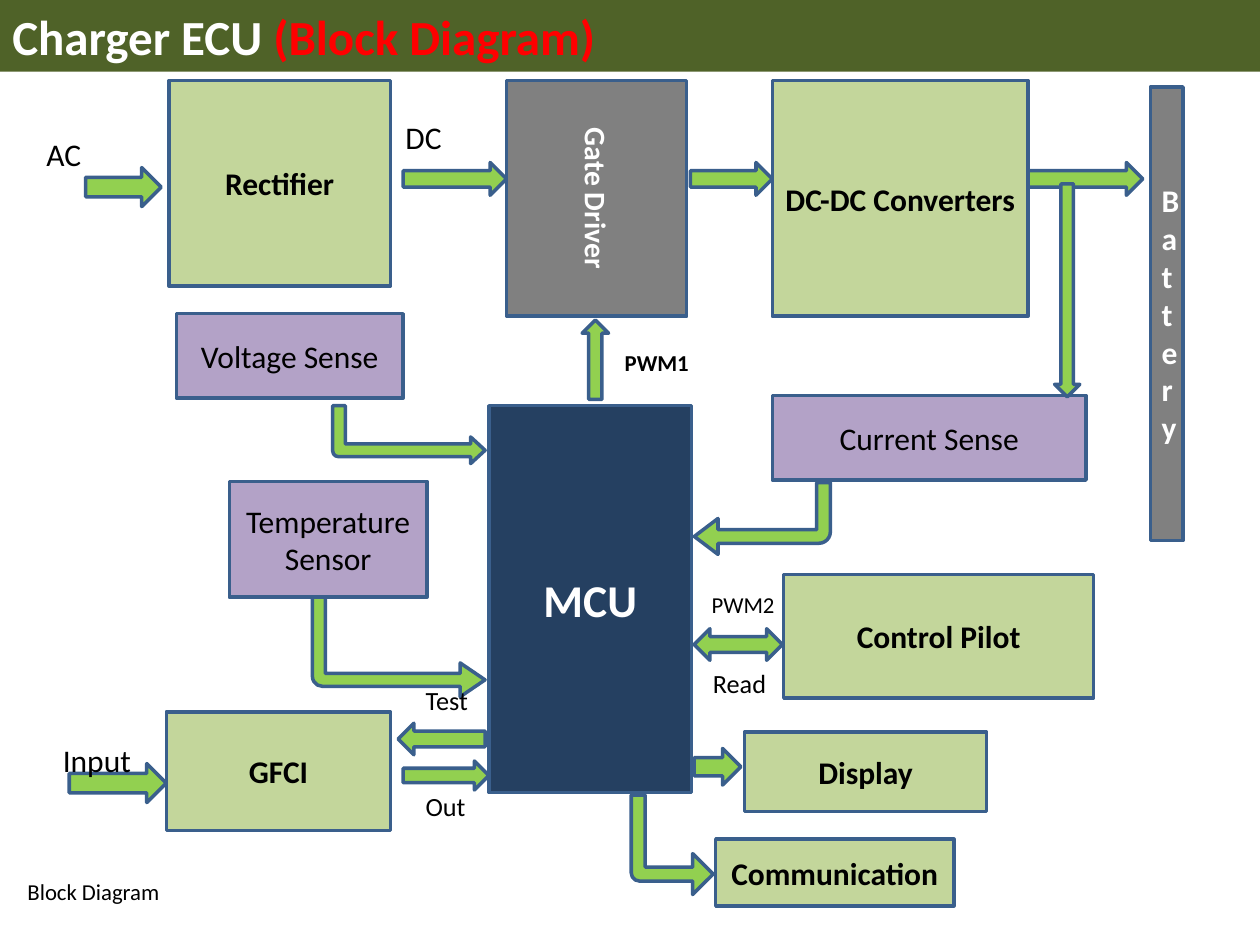
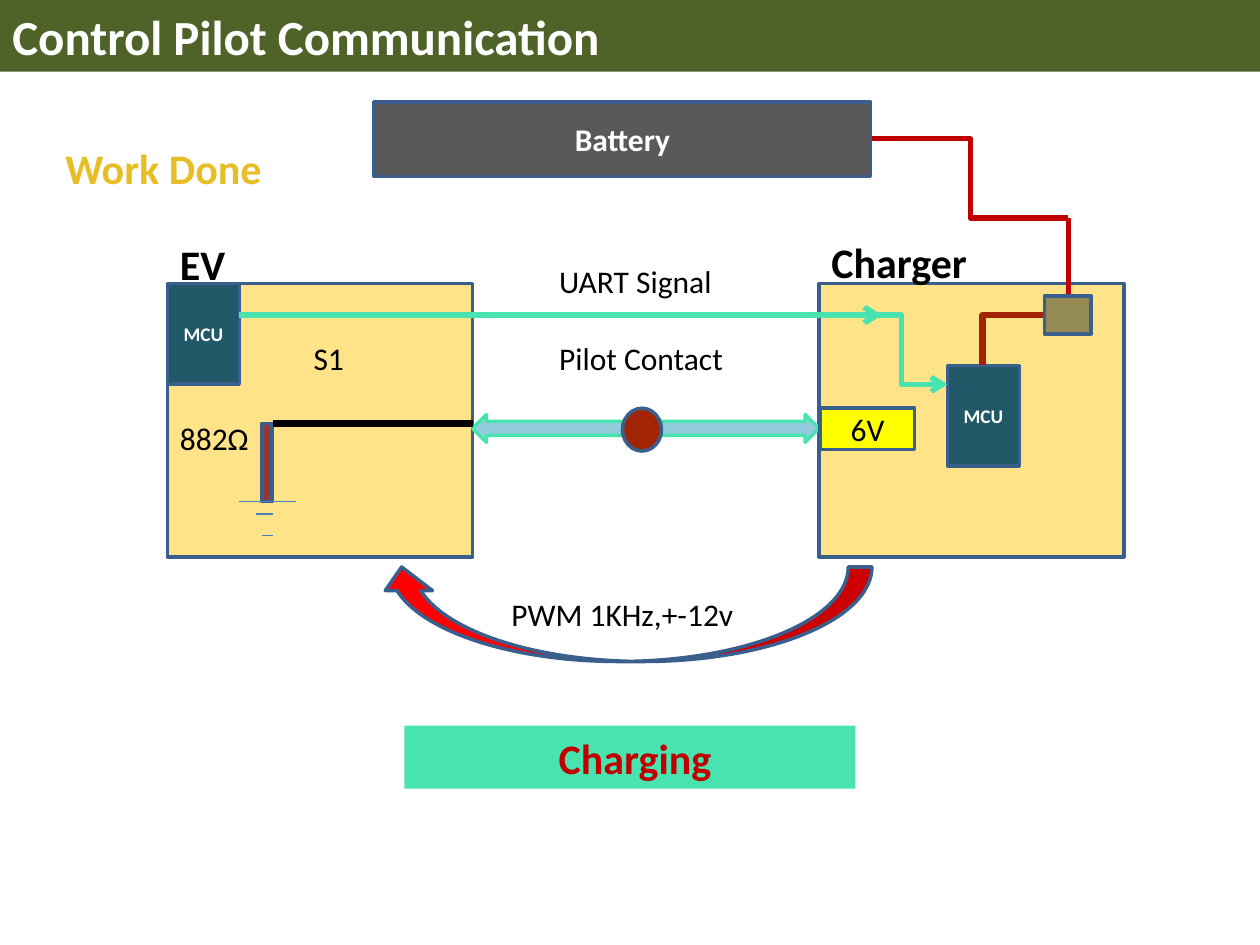
"""Build two slides on a charger ECU: its block diagram and its pilot communication."""
import pptx
import pptx.dml.color
import pptx.enum.shapes
import pptx.enum.text
import pptx.oxml
import pptx.oxml.ns
import pptx.util

Inches = pptx.util.Inches
SHAPE = pptx.enum.shapes.MSO_SHAPE
CONNECTOR = pptx.enum.shapes.MSO_CONNECTOR
ALIGN = pptx.enum.text.PP_ALIGN
ANCHOR = pptx.enum.text.MSO_ANCHOR

FONT = "Calibri"
COLORS = {
    "white": "FFFFFF", "black": "000000", "band": "4F6228", "outline": "3A5F8C",
    "stage": "C3D69B", "sensor": "B3A2C7", "gray": "808080", "navy": "254061",
    "arrow": "92D050", "red": "FF0000", "gold": "E8BE26", "panel": "FFE389",
    "sky": "93CDDD", "mint": "49E3B0", "rust": "A12407", "crimson": "C00000",
    "resistor": "953735", "ground": "4B7EBC", "chip": "215968", "relay": "948A54",
    "charcoal": "595959", "yellow": "FFFF00",
}


def color(name):
    """Return the named colour."""
    return pptx.dml.color.RGBColor.from_string(COLORS[name])


def write(frame, text, size, tint="black", bold=False, align=ALIGN.LEFT,
          anchor=ANCHOR.TOP, margin=0.1):
    """Put one formatted paragraph in a text frame and return it."""
    frame.word_wrap = True
    frame.vertical_anchor = anchor
    frame.margin_left = frame.margin_right = Inches(margin)
    para = frame.paragraphs[0]
    para.text = text
    para.alignment = align
    para.font.name = FONT
    para.font.size = pptx.util.Pt(size)
    para.font.bold = bold
    para.font.color.rgb = color(tint)
    return para


def add_figure(page, kind, at, fill, outline="outline", adjust=(), flip=None, turn=0):
    """Add a filled preset shape, flipped or turned if asked."""
    figure = page.shapes.add_shape(kind, *map(Inches, at))
    figure.shadow.inherit = False
    figure.fill.solid()
    figure.fill.fore_color.rgb = color(fill)
    if outline:
        figure.line.color.rgb = color(outline)
        figure.line.width = pptx.util.Pt(2)
    else:
        figure.line.fill.background()
    for index, value in enumerate(adjust):
        figure.adjustments[index] = value
    figure.rotation = turn
    if flip:
        figure._element.spPr.xfrm.set(flip, "1")
    return figure


def add_box(page, text, at, fill, size=18, tint="black", bold=True, outline="outline", turn=0):
    """Add a rectangle with centred text."""
    box = add_figure(page, SHAPE.RECTANGLE, at, fill, outline, turn=turn)
    write(box.text_frame, text, size, tint, bold, ALIGN.CENTER, ANCHOR.MIDDLE, 0.09)
    return box


def add_label(page, text, at, size=18, tint="black", bold=False):
    """Add a plain text label."""
    label = page.shapes.add_textbox(*map(Inches, at))
    write(label.text_frame, text, size, tint, bold)


def add_wire(page, start, end, tint, width, kind=CONNECTOR.STRAIGHT, preset=None, head=False):
    """Add a straight or bent line, with an open arrowhead at its end if asked."""
    wire = page.shapes.add_connector(kind, *map(Inches, (*start, *end)))
    wire.line.color.rgb = color(tint)
    wire.line.width = pptx.util.Pt(width)
    properties = wire._element.spPr
    if preset:
        properties.find(pptx.oxml.ns.qn("a:prstGeom")).set("prst", preset)
    if head:
        tip = pptx.oxml.parse_xml(f'<a:tailEnd {pptx.oxml.ns.nsdecls("a")} type="arrow"/>')
        wire.line._get_or_add_ln().append(tip)
    properties.append(pptx.oxml.parse_xml(f'<a:effectLst {pptx.oxml.ns.nsdecls("a")}/>'))


def add_title(page, title, accent=""):
    """Add the title band, with an optional red ending."""
    band = add_figure(page, SHAPE.RECTANGLE, (0, 0, 10, 0.57), "band", None)
    para = write(band.text_frame, title, 28, "white", True)
    if accent:
        span = para.add_run()
        span.text = accent
        span.font.color.rgb = color("red")


def add_page(deck):
    """Add a blank slide."""
    return deck.slides.add_slide(deck.slide_layouts[6])


def build_block_diagram(deck):
    """Build the charger block diagram."""
    page = add_page(deck)
    stages = (
        ("DC-DC Converters", (6.13, 0.64, 2.03, 1.87)),
        ("Rectifier", (1.34, 0.64, 1.76, 1.63)),
        ("Display", (5.91, 5.81, 1.92, 0.63)),
        ("Control Pilot", (6.22, 4.56, 2.46, 0.98)),
        ("GFCI", (1.32, 5.65, 1.78, 0.94)),
        ("Communication", (5.68, 6.66, 1.89, 0.53)),
    )
    for text, at in stages:
        add_box(page, text, at, "stage")
    sensors = (
        ("Voltage Sense", (1.4, 2.49, 1.8, 0.67)),
        ("Current Sense", (6.13, 3.14, 2.49, 0.67)),
        ("Temperature Sensor", (1.82, 3.82, 1.57, 0.92)),
    )
    for text, at in sensors:
        add_box(page, text, at, "sensor", bold=False)
    add_box(page, "Battery", (9.13, 0.69, 0.26, 3.6), "gray", tint="white")
    add_box(page, "Gate Driver", (3.8, 0.86, 1.87, 1.43), "gray", 17, "white", turn=90)
    add_box(page, "MCU", (3.88, 3.22, 1.61, 3.07), "navy", 26, "white")

    arrows = (
        (SHAPE.RIGHT_ARROW, (0.68, 1.33, 0.6, 0.31)),
        (SHAPE.RIGHT_ARROW, (3.2, 1.29, 0.82, 0.26)),
        (SHAPE.RIGHT_ARROW, (5.48, 1.29, 0.65, 0.26)),
        (SHAPE.RIGHT_ARROW, (8.16, 1.29, 0.91, 0.26)),
        (SHAPE.DOWN_ARROW, (8.37, 1.46, 0.2, 1.69)),
        (SHAPE.UP_ARROW, (4.62, 2.54, 0.21, 0.63)),
        (SHAPE.LEFT_RIGHT_ARROW, (5.51, 4.99, 0.7, 0.25)),
        (SHAPE.RIGHT_ARROW, (5.51, 5.94, 0.37, 0.29)),
        (SHAPE.LEFT_ARROW, (3.16, 5.74, 0.69, 0.25)),
        (SHAPE.RIGHT_ARROW, (3.2, 6.04, 0.68, 0.23)),
        (SHAPE.RIGHT_ARROW, (0.55, 6.06, 0.77, 0.31)),
    )
    for kind, at in arrows:
        add_figure(page, kind, at, "arrow")
    bends = (
        ((2.64, 3.22, 1.21, 0.46), (0.22, 0.23, 0.25, 0.1)),
        ((2.48, 4.74, 1.37, 0.79), (0.13, 0.17, 0.25, 0.1)),
        ((5.01, 6.31, 0.65, 0.79), (0.17, 0.25, 0.25, 0.1)),
    )
    for at, adjust in bends:
        add_figure(page, SHAPE.BENT_ARROW, at, "arrow", adjust=adjust, flip="flipV")
    add_figure(page, SHAPE.BENT_ARROW, (5.51, 3.83, 1.08, 0.57), "arrow",
               adjust=(0.19, 0.25, 0.33, 0.16), turn=180)

    labels = (
        ("AC", (0.27, 1.02, 0.73, 0.4), 18),
        ("DC", (3.12, 0.89, 0.73, 0.4), 18),
        ("Input", (0.4, 5.83, 0.78, 0.4), 18),
        ("Read", (5.56, 5.25, 0.66, 0.35), 15),
        ("Test", (3.28, 5.38, 0.57, 0.35), 15),
        ("Out", (3.28, 6.22, 0.56, 0.35), 15),
        ("PWM2", (5.55, 4.64, 0.74, 0.31), 13),
        ("Block Diagram", (0.12, 6.92, 1.3, 0.31), 13),
    )
    for text, at, size in labels:
        add_label(page, text, at, size)
    add_label(page, "PWM1", (4.86, 2.72, 0.75, 0.31), 13, bold=True)
    add_title(page, "Charger ECU ", "(Block Diagram)")


def build_pilot_communication(deck):
    """Build the vehicle-to-charger communication diagram."""
    page = add_page(deck)
    add_title(page, "Control Pilot Communication")
    for left in (1.33, 6.5):
        add_figure(page, SHAPE.RECTANGLE, (left, 2.25, 2.42, 2.17), "panel")
    add_figure(page, SHAPE.LEFT_RIGHT_ARROW, (3.75, 3.29, 2.75, 0.22), "sky", "mint")
    add_figure(page, SHAPE.OVAL, (4.94, 3.24, 0.31, 0.34), "rust")
    add_figure(page, SHAPE.RECTANGLE, (2.08, 3.36, 0.08, 0.62), "resistor")
    add_wire(page, (2.17, 3.36), (3.75, 3.36), "black", 4.25)
    for left, right, top in ((1.9, 2.35, 3.98), (2.03, 2.17, 4.08), (2.08, 2.17, 4.25)):
        add_wire(page, (left, top), (right, top), "ground", 0.75)
    for left, top in ((1.33, 2.25), (7.52, 2.9)):
        add_box(page, "MCU", (left, top, 0.57, 0.8), "chip", 11, "white")
    add_figure(page, SHAPE.CURVED_UP_ARROW, (3, 4.5, 3.92, 0.75), "red", flip="flipH")

    add_wire(page, (8.29, 2.5), (7.8, 2.9), "rust", 3.75, CONNECTOR.ELBOW, "bentConnector2")
    add_figure(page, SHAPE.RECTANGLE, (8.29, 2.35, 0.37, 0.3), "relay")
    add_box(page, "Battery", (2.97, 0.81, 3.94, 0.59), "charcoal", tint="white")
    add_wire(page, (6.92, 1.1), (8.48, 1.73), "crimson", 3, CONNECTOR.ELBOW)
    add_wire(page, (8.48, 1.73), (8.48, 2.33), "crimson", 3)
    add_wire(page, (1.9, 2.5), (7, 2.5), "mint", 3.25, head=True)
    add_wire(page, (6.79, 2.5), (7.52, 3.05), "mint", 3, CONNECTOR.ELBOW, head=True)
    add_box(page, "6V", (6.51, 3.24, 0.75, 0.33), "yellow", bold=False)
    charging = add_box(page, "Charging", (3.21, 5.76, 3.58, 0.5), "mint", 24, "crimson",
                       outline=None)
    charging.text_frame.margin_left = Inches(0.17)

    add_label(page, "Work Done", (0.42, 1.08, 2.83, 0.5), 24, "gold", True)
    add_label(page, "EV", (1.33, 1.84, 0.62, 0.5), 24, bold=True)
    add_label(page, "Charger", (6.5, 1.83, 1.58, 0.5), 24, bold=True)
    labels = (
        ("UART Signal", (4.34, 2.03, 2.23, 0.4)),
        ("Pilot Contact", (4.34, 2.64, 1.56, 0.4)),
        ("S1", (2.39, 2.64, 0.5, 0.4)),
        ("882Ω", (1.33, 3.28, 0.8, 0.4)),
        ("PWM 1KHz,+-12v", (3.96, 4.67, 2.08, 0.4)),
    )
    for text, at in labels:
        add_label(page, text, at)


def main():
    """Build and save the deck."""
    deck = pptx.Presentation()
    deck.slide_width = Inches(10)
    deck.slide_height = Inches(7.5)
    build_block_diagram(deck)
    build_pilot_communication(deck)
    deck.save("out.pptx")


if __name__ == "__main__":
    main()
